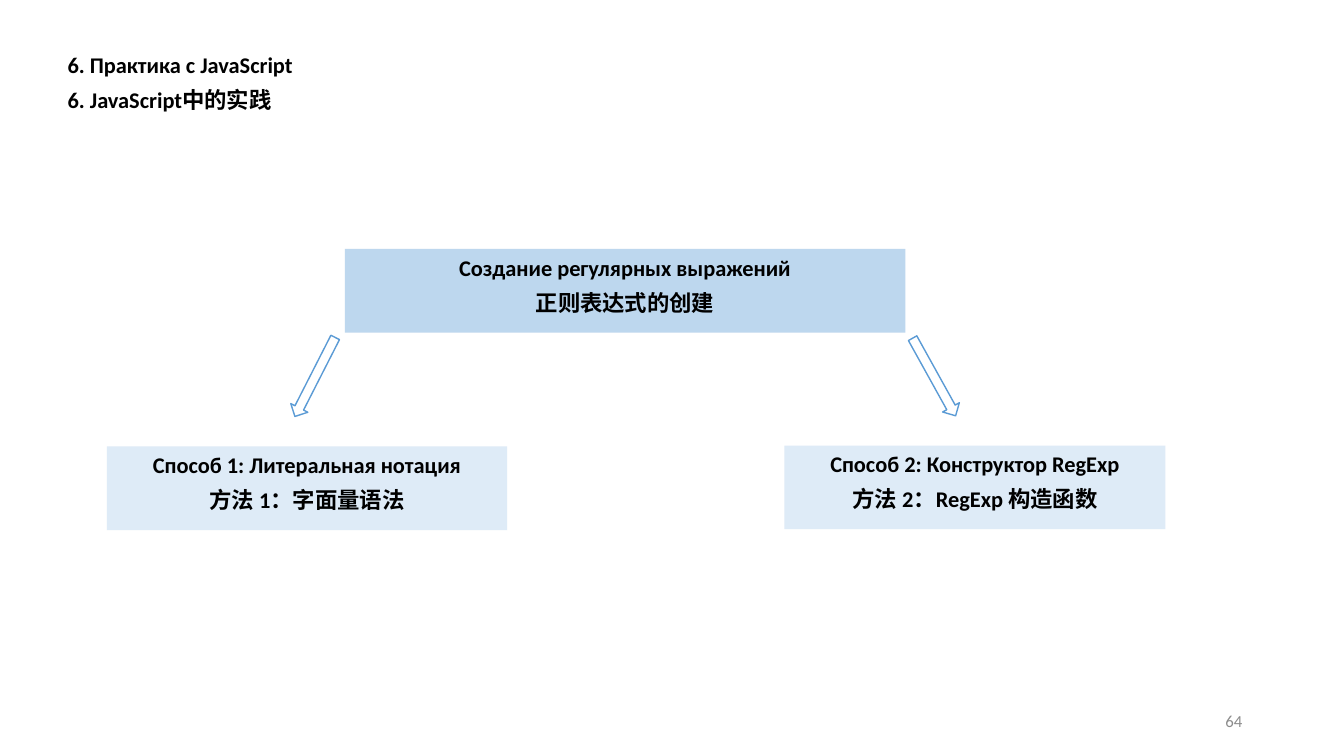
from pptx import Presentation
from pptx import util as u
from pptx.dml.color import RGBColor
from pptx.enum import shapes, text


def color(value):
    return RGBColor.from_string(value)


class SlideBuilder:
    font = "Calibri"
    ink = "000000"
    accent = "5B9BD5"
    gap = 5.6

    def __init__(self, deck):
        self.slide = deck.slides.add_slide(deck.slide_layouts[5])

    def add_lines(self, box, lines, align, size=16, ink=ink, bold=True,
                  anchor=text.MSO_ANCHOR.TOP):
        frame = box.text_frame
        frame.word_wrap = True
        frame.auto_size = text.MSO_AUTO_SIZE.NONE
        frame.vertical_anchor = anchor
        for index, line in enumerate(lines):
            para = frame.add_paragraph() if index else frame.paragraphs[0]
            para.alignment = align
            para.line_spacing = 1.0
            para.space_before = u.Pt(0)
            para.space_after = u.Pt(self.gap)
            span = para.add_run()
            span.text = line
            span.font.name = self.font
            span.font.size = u.Pt(size)
            span.font.bold = bold
            span.font.color.rgb = color(ink)

    def title(self, lines, *place):
        box = self.slide.shapes.title
        box.left, box.top, box.width, box.height = map(u.Inches, place)
        self.add_lines(box, lines, text.PP_ALIGN.LEFT)

    def panel(self, lines, fill, *place):
        box = self.slide.shapes.add_shape(
            shapes.MSO_SHAPE.RECTANGLE, *map(u.Inches, place))
        box.shadow.inherit = False
        box.fill.solid()
        box.fill.fore_color.rgb = color(fill)
        box.line.fill.background()
        self.add_lines(box, lines, text.PP_ALIGN.CENTER)

    def arrow(self, rotation, *place):
        arrow = self.slide.shapes.add_shape(
            shapes.MSO_SHAPE.DOWN_ARROW, *map(u.Inches, place))
        arrow.shadow.inherit = False
        arrow.fill.background()
        arrow.line.color.rgb = color(self.accent)
        arrow.line.width = u.Pt(1)
        arrow.rotation = rotation

    def page_number(self, number, *place):
        box = self.slide.shapes.add_textbox(*map(u.Inches, place))
        self.add_lines(box, [number], text.PP_ALIGN.RIGHT, 12, "8C8C8C", False,
                       text.MSO_ANCHOR.MIDDLE)


def main():
    deck = Presentation()
    deck.slide_width = u.Inches(13.33)
    deck.slide_height = u.Inches(7.5)
    page = SlideBuilder(deck)
    page.page_number("64", 9.42, 6.95, 3, 0.4)
    page.title(["6. Практика с JavaScript", "6. JavaScript中的实践"],
               0.57, 0.46, 5.56, 0.83)
    page.panel(["Способ 1: Литеральная нотация", "方法 1：字面量语法"],
               "DEEBF7", 1.06, 4.43, 3.97, 0.83)
    page.panel(["Способ 2: Конструктор RegExp", "方法 2：RegExp 构造函数"],
               "DEEBF7", 7.78, 4.42, 3.78, 0.83)
    page.panel(["Создание регулярных выражений", "正则表达式的创建"],
               "BDD7EE", 3.42, 2.47, 5.56, 0.83)
    for left, rotation in ((3.03, 27), (9.17, 331)):
        page.arrow(rotation, left, 3.3, 0.19, 0.88)
    deck.save("out.pptx")


if __name__ == "__main__":
    main()
